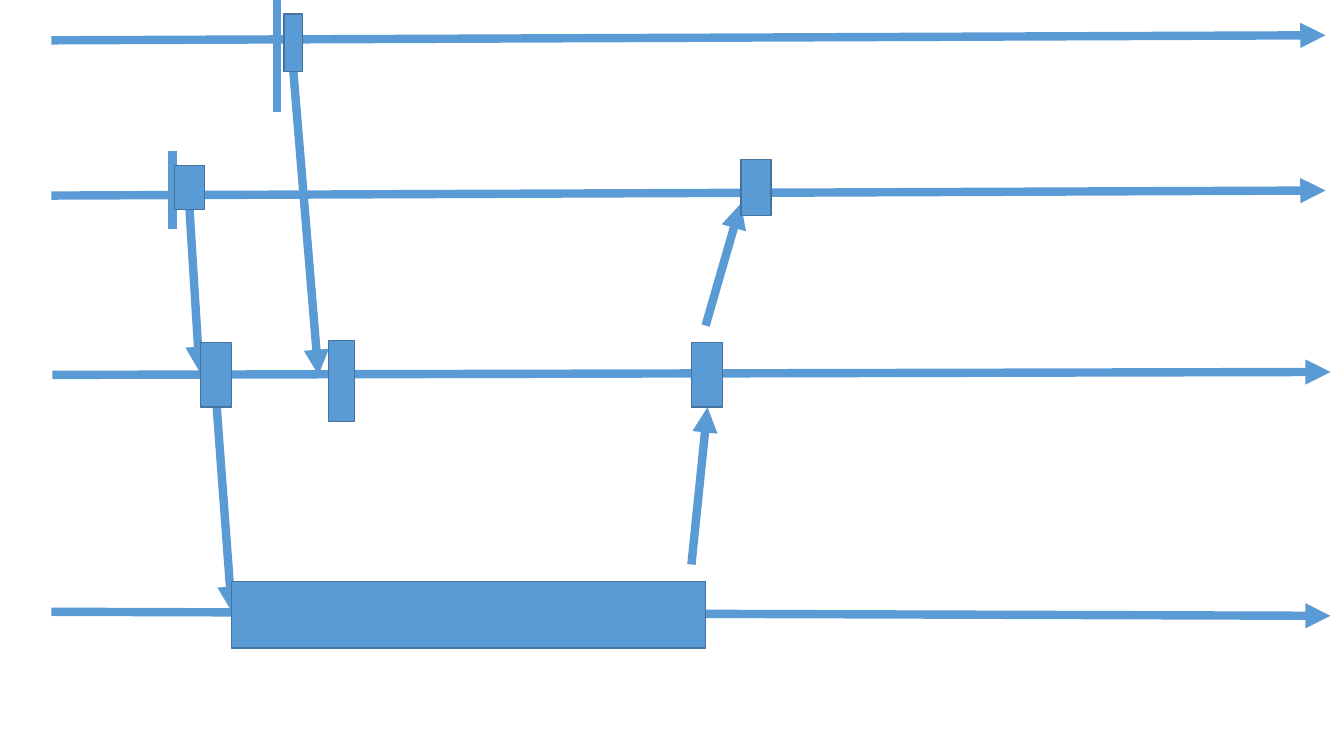
from lxml import etree
from pptx import Presentation
from pptx.dml.color import RGBColor
from pptx.enum.shapes import MSO_CONNECTOR as CONN, MSO_SHAPE as SHAPE
from pptx.oxml.ns import qn
from pptx.util import Pt

BLUE = RGBColor(0x5B, 0x9B, 0xD5)
EDGE = RGBColor(0x43, 0x73, 0x9E)
LINE_W, EDGE_W = 6, 1

# Content, in points: lines as x1, y1, x2, y2
TIMELINES = [
    (36.7, 28.8, 946.8, 25.2),
    (36.7, 139.7, 946.8, 136.1),
    (37.4, 267.8, 950.4, 265.7),
    (36.7, 437, 950.4, 439.9),
]
START_MARKS = [(198, 0, 198, 79.9), (123.1, 108, 123.1, 163.4)]
MESSAGES = [
    (209.5, 50.4, 227.5, 267.8),
    (135.4, 149.8, 142.6, 265.7),
    (154.8, 290.9, 165.6, 437),
    (493.9, 403.2, 505.4, 290.9),
    (504, 232.6, 529.2, 145.4),
]
# Activity boxes as left, top, width, height, one list per timeline
ACTIVITIES = [
    [(203, 10.1, 13, 41)],
    [(124.6, 118.1, 21.6, 31.7), (529.2, 113.8, 21.6, 40.3)],
    [(143.3, 244.8, 22.3, 46.1), (234.7, 243.4, 18.7, 57.6),
     (493.9, 244.8, 22.3, 46.1)],
    [(165.6, 415.4, 338.4, 47.5)],
]


def add_line(s, ends, arrow=True):
    line = s.shapes.add_connector(CONN.STRAIGHT, *map(Pt, ends))
    line.line.color.rgb = BLUE
    line.line.width = Pt(LINE_W)
    if arrow:
        etree.SubElement(line.line._get_or_add_ln(), qn("a:tailEnd"),
                         type="triangle")
    etree.SubElement(line._element.spPr, qn("a:effectLst"))


def add_activity(s, box):
    sp = s.shapes.add_shape(SHAPE.RECTANGLE, *map(Pt, box))
    sp.shadow.inherit = False
    sp.fill.solid()
    sp.fill.fore_color.rgb = BLUE
    sp.line.color.rgb = EDGE
    sp.line.width = Pt(EDGE_W)


prs = Presentation()
prs.slide_width, prs.slide_height = Pt(960), Pt(540)
s = prs.slides.add_slide(prs.slide_layouts[6])

# Timelines, start marks and messages lie behind the activities
for ends in TIMELINES + MESSAGES:
    add_line(s, ends)
for ends in START_MARKS:
    add_line(s, ends, arrow=False)

# Activities
for row in ACTIVITIES:
    for box in row:
        add_activity(s, box)

prs.save("out.pptx")
